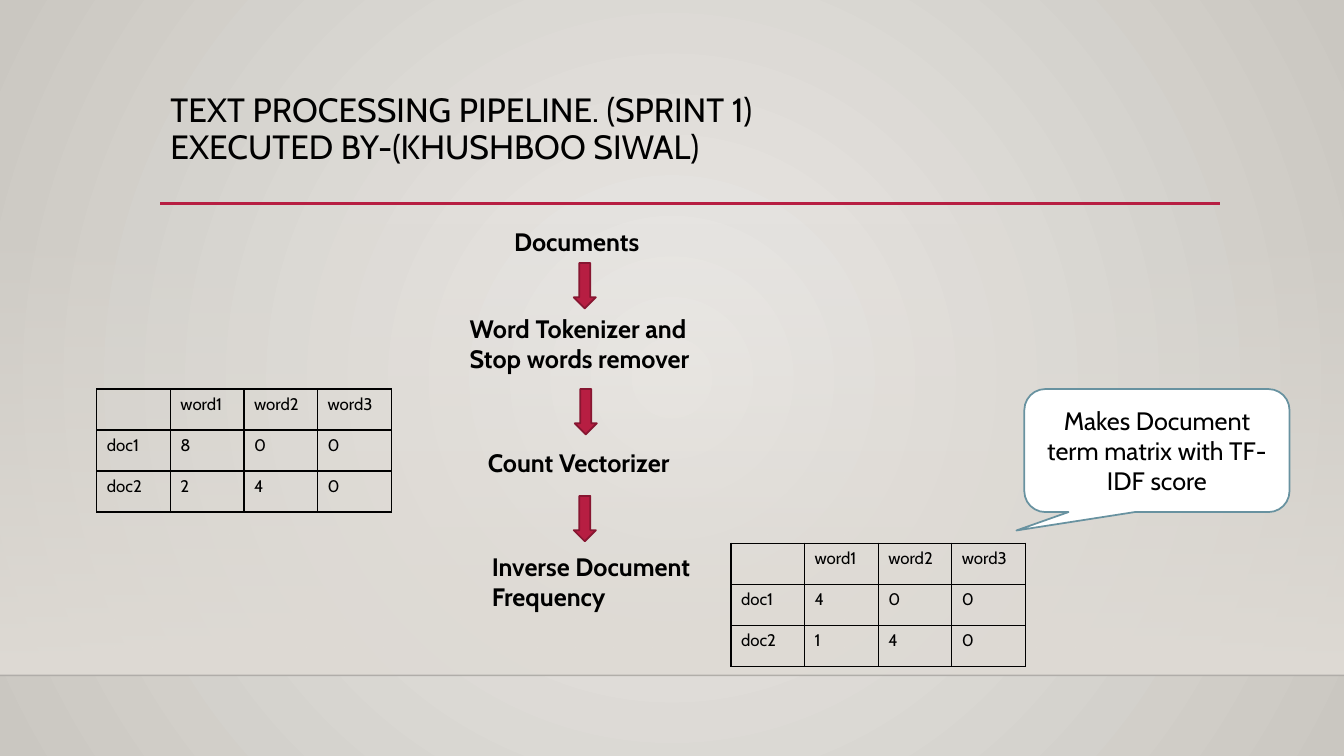
"""Build the text processing pipeline slide."""
from lxml import etree
from pptx import Presentation
from pptx.dml.color import RGBColor
from pptx.enum.shapes import MSO_CONNECTOR, MSO_SHAPE
from pptx.enum.text import MSO_ANCHOR, MSO_AUTO_SIZE, PP_ALIGN
from pptx.oxml.ns import qn
from pptx.util import Inches, Pt

LINE = MSO_CONNECTOR.STRAIGHT
RECT = MSO_SHAPE.RECTANGLE
ARROW = MSO_SHAPE.DOWN_ARROW
BUBBLE = MSO_SHAPE.ROUNDED_RECTANGULAR_CALLOUT
TOP, MIDDLE = MSO_ANCHOR.TOP, MSO_ANCHOR.MIDDLE
FIXED, GROW = MSO_AUTO_SIZE.NONE, MSO_AUTO_SIZE.SHAPE_TO_FIT_TEXT
LEFT, CENTER = PP_ALIGN.LEFT, PP_ALIGN.CENTER


def rgb(code):
    return RGBColor.from_string(code)


def style(para, size, bold=False, align=LEFT):
    para.alignment = align
    para.font.name = "Cabin"
    para.font.size = Pt(size)
    para.font.bold = bold
    para.font.color.rgb = rgb("000000")


deck = Presentation()
deck.slide_width = Inches(13.33)
deck.slide_height = Inches(7.5)
slide = deck.slides.add_slide(deck.slide_layouts[5])
shapes = slide.shapes

back = slide.background.fill
back.gradient()
for stop, code in zip(back.gradient_stops, ("ECEAE7", "CAC7C1")):
    stop.color.rgb = rgb(code)
for stop, place in zip(back.gradient_stops, (0, 1)):
    stop.position = place
grad = slide.element.find(".//" + qn("a:gradFill"))
grad.remove(grad.find(qn("a:lin")))
round_fill = etree.SubElement(grad, qn("a:path"), {"path": "circle"})
etree.SubElement(round_fill, qn("a:fillToRect"), dict.fromkeys("ltrb", "50000"))

band = shapes.add_shape(RECT, 0, Inches(2.21), Inches(13.33), Inches(4.49))
band.shadow.inherit = False
band.line.fill.background()
band.fill.gradient()
band.fill.gradient_angle = 270
for stop, place in zip(band.fill.gradient_stops, (0, 1)):
    stop.color.rgb = rgb("DFDBD5")
    stop.position = place
clear = band.element.find(".//" + qn("a:srgbClr"))
etree.SubElement(clear, qn("a:alpha"), val="0")

for left, right, y, code, width, alpha in (
    (0, 13.33, 6.7, "000001", 1, 20),
    (1.59, 12.1, 2.02, "B71E42", 2.5, 100),
):
    rule = shapes.add_connector(LINE, Inches(left), Inches(y), Inches(right), Inches(y))
    rule.line.color.rgb = rgb(code)
    rule.line.width = Pt(width)
    ink = rule.element.spPr.find(".//" + qn("a:srgbClr"))
    etree.SubElement(ink, qn("a:alpha"), val=str(alpha * 1000))
    etree.SubElement(rule.element.spPr, qn("a:effectLst"))

title = shapes.title
title.left, title.top = Inches(1.59), Inches(0.88)
title.width, title.height = Inches(10.5), Inches(1.15)
frame = title.text_frame
frame.text = "TEXT PROCESSING PIPELINE. (SPRINT 1)\vEXECUTED BY-(KHUSHBOO SIWAL)"
frame.auto_size = FIXED
frame.vertical_anchor = TOP
frame.paragraphs[0].line_spacing = 0.9
style(frame.paragraphs[0], 24)

for text, left, top, width, height in (
    ("Documents", 5, 2.2, 2.42, 0.4),
    ("Word Tokenizer and Stop words remover", 4.56, 3.06, 2.86, 0.71),
    ("Count Vectorizer", 4.74, 4.39, 2.51, 0.4),
    ("Inverse Document Frequency", 4.78, 5.42, 2.86, 0.71),
):
    step = shapes.add_textbox(Inches(left), Inches(top), Inches(width), Inches(height))
    frame = step.text_frame
    frame.word_wrap = True
    frame.auto_size = GROW
    frame.text = text
    style(frame.paragraphs[0], 18, bold=True)

for left, top in ((5.69, 2.61), (5.7, 3.86), (5.69, 4.92)):
    arrow = shapes.add_shape(ARROW, Inches(left), Inches(top), Inches(0.22), Inches(0.45))
    arrow.shadow.inherit = False
    arrow.fill.solid()
    arrow.fill.fore_color.rgb = rgb("B71E42")
    arrow.line.color.rgb = rgb("871631")
    arrow.line.width = Pt(1.25)

note = shapes.add_shape(BUBBLE, Inches(10.16), Inches(3.86), Inches(2.63), Inches(1.22))
note.shadow.inherit = False
note.adjustments[0] = -0.53
note.adjustments[1] = 0.65
note.adjustments[2] = 0.17
note.fill.solid()
note.fill.fore_color.rgb = rgb("FFFFFF")
note.line.color.rgb = rgb("6892A0")
note.line.width = Pt(1.25)
frame = note.text_frame
frame.word_wrap = True
frame.vertical_anchor = MIDDLE
frame.text = "Makes Document term matrix with TF-IDF score"
style(frame.paragraphs[0], 18, align=CENTER)

head = ("", "word1", "word2", "word3")
for left, top, first, second in (
    (0.96, 3.86, "800", "240"),
    (7.25, 5.39, "400", "140"),
):
    grid = shapes.add_table(
        3, 4, Inches(left), Inches(top), Inches(2.92), Inches(1.22)
    ).table
    grid.first_row = False
    grid.horz_banding = False
    rows = (head, ("doc1", *first), ("doc2", *second))
    for row, texts in enumerate(rows):
        for col, text in enumerate(texts):
            cell = grid.cell(row, col)
            cell.text = text
            style(cell.text_frame.paragraphs[0], 12)
            props = cell._tc.get_or_add_tcPr()
            for side in ("lnL", "lnR", "lnT", "lnB"):
                edge = etree.SubElement(props, qn("a:" + side), w=str(Pt(1)))
                paint = etree.SubElement(edge, qn("a:solidFill"))
                etree.SubElement(paint, qn("a:srgbClr"), val="000000")
            cell.fill.background()

deck.save("out.pptx")
